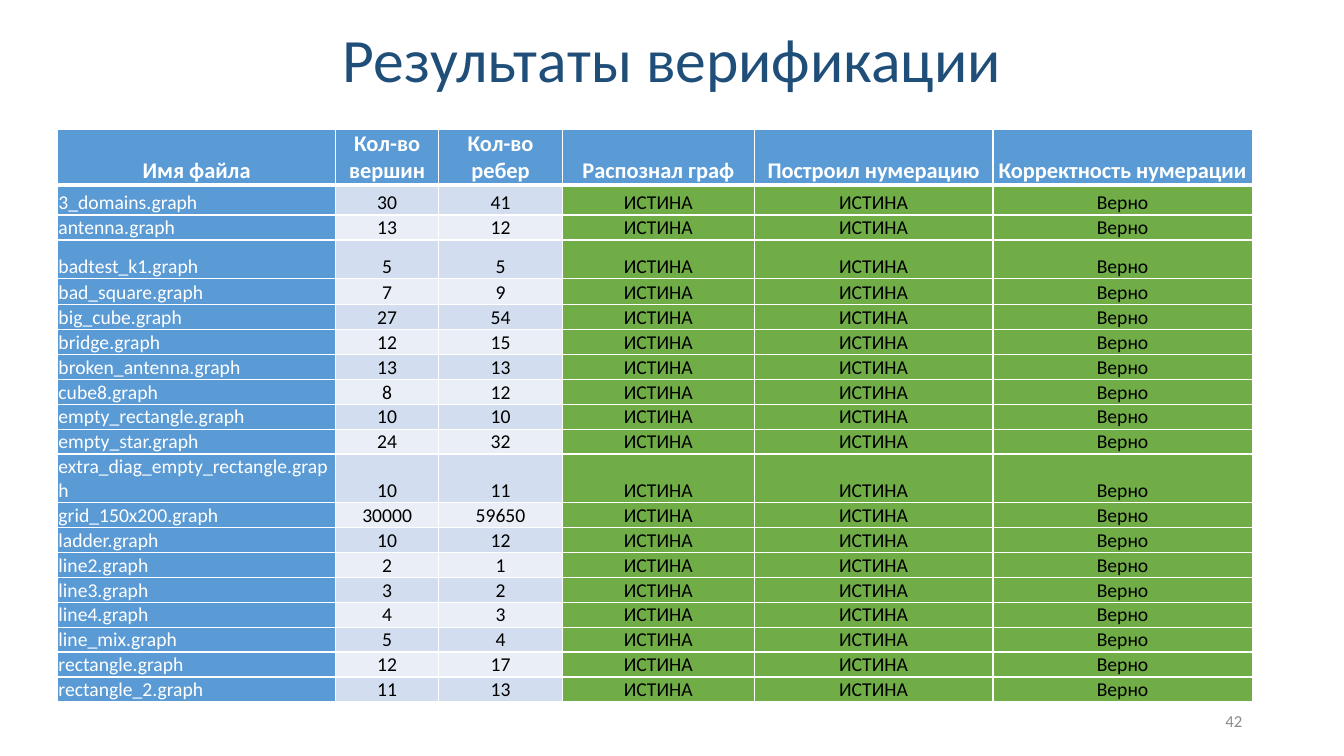
from dataclasses import dataclass

from lxml import etree
from pptx import Presentation
from pptx import util as u
from pptx.dml.color import RGBColor
from pptx.enum import text
from pptx.oxml import ns


@dataclass(frozen=True)
class Theme:
    font: str = "Calibri"
    title: str = "1F4E79"
    muted: str = "8C8C8C"
    white: str = "FFFFFF"
    black: str = "000000"
    blue: str = "5B9BD5"
    green: str = "70AD47"
    bands: tuple = ("D2DEEF", "EAEFF7")
    title_size: int = 44
    header_size: int = 16
    body_size: int = 14
    number_size: int = 12
    thin: int = 1
    thick: int = 3


THEME = Theme()
LEFT, CENTER, RIGHT = text.PP_ALIGN.LEFT, text.PP_ALIGN.CENTER, text.PP_ALIGN.RIGHT

HEADERS = ("Имя файла", "Кол-во вершин", "Кол-во ребер", "Распознал граф",
           "Построил нумерацию", "Корректность нумерации")
VERDICTS = ("ИСТИНА", "ИСТИНА", "Верно")
GRAPHS = (
    ("3_domains", 30, 41),
    ("antenna", 13, 12),
    ("badtest_k1", 5, 5),
    ("bad_square", 7, 9),
    ("big_cube", 27, 54),
    ("bridge", 12, 15),
    ("broken_antenna", 13, 13),
    ("cube8", 8, 12),
    ("empty_rectangle", 10, 10),
    ("empty_star", 24, 32),
    ("extra_diag_empty_rectangle", 10, 11),
    ("grid_150x200", 30000, 59650),
    ("ladder", 10, 12),
    ("line2", 2, 1),
    ("line3", 3, 2),
    ("line4", 4, 3),
    ("line_mix", 5, 4),
    ("rectangle", 12, 17),
    ("rectangle_2", 11, 13),
)
COLUMN_WIDTHS = (2.76, 1.02, 1.23, 1.9, 2.37, 2.57)
TOP_ROW_HEIGHTS = (0.54, 0.3, 0.2, 0.38, 0.26, 0.22, 0.25)
ROW_HEIGHT = 0.24


def write(frame, words, *, size, color, align=LEFT, bold=False, spacing=None):
    frame.word_wrap = True
    para = frame.paragraphs[0]
    para.alignment = align
    if spacing:
        para.line_spacing = spacing
    span = para.add_run()
    span.text = words
    span.font.name = THEME.font
    span.font.size = u.Pt(size)
    span.font.bold = bold
    span.font.color.rgb = RGBColor.from_string(color)


def add_text(page, box, words, **style):
    shape = page.shapes.add_textbox(*map(u.Inches, box))
    shape.text_frame.vertical_anchor = text.MSO_ANCHOR.MIDDLE
    write(shape.text_frame, words, **style)


def add_borders(cell, widths):
    """Draw white left, right, top and bottom edges; call before the fill is set."""
    properties = cell._tc.get_or_add_tcPr()
    for side, width in zip("LRTB", widths):
        line = etree.SubElement(properties, ns.qn(f"a:ln{side}"), w=str(u.Pt(width)))
        fill = etree.SubElement(line, ns.qn("a:solidFill"))
        etree.SubElement(fill, ns.qn("a:srgbClr"), val=THEME.white)


def fill_cell(cell, words, fill, borders, **style):
    add_borders(cell, borders)
    cell.fill.solid()
    cell.fill.fore_color.rgb = RGBColor.from_string(fill)
    cell.vertical_anchor = text.MSO_ANCHOR.BOTTOM
    cell.margin_left = cell.margin_right = cell.margin_top = u.Inches(0.01)
    cell.margin_bottom = 0
    write(cell.text_frame, words, **style)


def add_results(page, box):
    frame = page.shapes.add_table(len(GRAPHS) + 1, len(HEADERS), *map(u.Inches, box))
    table = frame.table
    for column, width in zip(table.columns, COLUMN_WIDTHS):
        column.width = u.Inches(width)
    for index, row in enumerate(table.rows):
        row.height = u.Inches(TOP_ROW_HEIGHTS[index] if index < len(TOP_ROW_HEIGHTS)
                              else ROW_HEIGHT)

    thin, thick = THEME.thin, THEME.thick
    for column, header in enumerate(HEADERS):
        fill_cell(table.cell(0, column), header, THEME.blue, (thin, thin, thin, thick),
                  size=THEME.header_size, color=THEME.white, align=CENTER, bold=True)
    for index, (name, vertices, edges) in enumerate(GRAPHS):
        band = THEME.bands[index % 2]
        fills = (THEME.blue, band, band) + (THEME.green,) * len(VERDICTS)
        values = (f"{name}.graph", str(vertices), str(edges)) + VERDICTS
        borders = (thin, thin, thin if index else thick, thin)
        for column, (value, fill) in enumerate(zip(values, fills)):
            fill_cell(table.cell(index + 1, column), value, fill, borders,
                      size=THEME.body_size,
                      color=THEME.black if column else THEME.white,
                      align=CENTER if column else LEFT)


def build_results_slide(deck):
    page = deck.slides.add_slide(deck.slide_layouts[6])
    add_results(page, (0.57, 1.28, 11.84, 5.63))
    add_text(page, (0, 0.22, 13.33, 0.8), "Результаты верификации",
             size=THEME.title_size, color=THEME.title, align=CENTER, spacing=0.9)
    add_text(page, (9.42, 6.95, 3, 0.4), "42",
             size=THEME.number_size, color=THEME.muted, align=RIGHT)


def main():
    deck = Presentation()
    deck.slide_width, deck.slide_height = u.Inches(13.33), u.Inches(7.5)
    build_results_slide(deck)
    deck.save("out.pptx")


if __name__ == "__main__":
    main()
